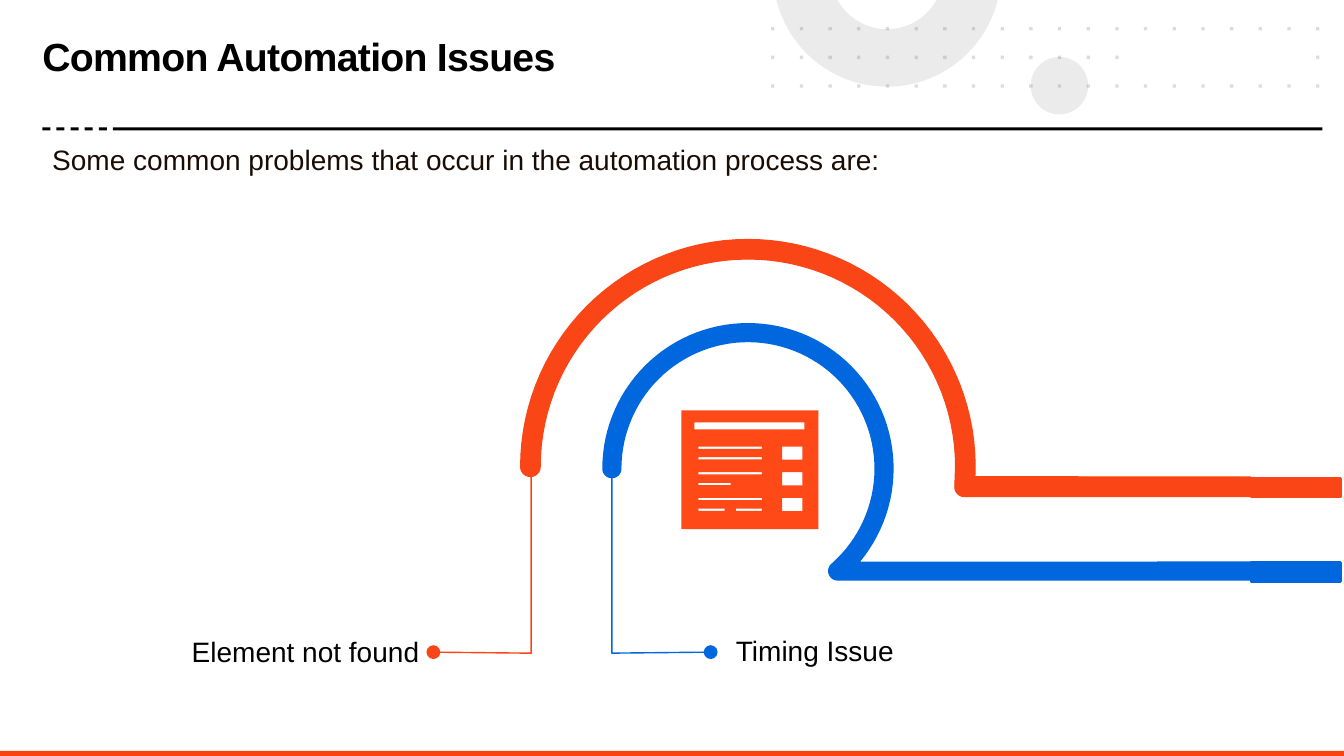
from dataclasses import dataclass
import math

from lxml import etree
from pptx import Presentation
from pptx import util as u
from pptx.dml.color import RGBColor
from pptx.enum import shapes, text
from pptx.oxml.ns import qn

CELL = u.Inches(0.1)
COLS, ROWS = 133.33, 75
FULL_TURN = 360


@dataclass(frozen=True)
class Theme:
    font: str = "Arial"
    title: int = 28
    body: int = 20
    ink: str = "000000"
    body_ink: str = "1A0C02"
    orange: str = "FA4616"
    footer: str = "FA4211"
    icon: str = "FF4917"
    blue: str = "0067DF"
    pale: str = "D9D9D9"
    dot: str = "44546A"


THEME = Theme()


def grid(*cells):
    return [u.Emu(round(cell * CELL)) for cell in cells]


def assign(target, values):
    for name, value in values.items():
        setattr(target, name, value)


def paint(shape, fill=None, alpha=None, line=None, weight=1):
    shape.shadow.inherit = False
    if fill:
        shape.fill.solid()
        shape.fill.fore_color.rgb = RGBColor.from_string(fill)
        if alpha:
            color = shape._element.spPr.find(qn("a:solidFill"))[0]
            etree.SubElement(color, qn("a:alpha"), val=str(alpha * 1000))
    else:
        shape.fill.background()
    if line:
        shape.line.color.rgb = RGBColor.from_string(line)
        shape.line.width = u.Pt(weight)
    else:
        shape.line.fill.background()
    return shape


def arc(cx, cy, radius, start, end):
    steps = max(8, round(abs(end - start) / 3))
    angles = [math.radians(start + (end - start) * i / steps) for i in range(steps + 1)]
    return [(cx + radius * math.cos(a), cy + radius * math.sin(a)) for a in angles]


def box_outline(left, top, width, height):
    right, bottom = left + width, top + height
    return [(left, top), (right, top), (right, bottom), (left, bottom)]


def add_outline(page, contours, closed=True, **look):
    contours = [[grid(*point) for point in contour] for contour in contours]
    builder = page.shapes.build_freeform(*contours[0][0], scale=1.0)
    for index, contour in enumerate(contours):
        if index:
            builder.move_to(*contour[0])
        builder.add_line_segments(contour[1:], close=closed)
    return paint(builder.convert_to_shape(), **look)


def add_preset(page, kind, bounds, **look):
    return paint(page.shapes.add_shape(kind, *grid(*bounds)), **look)


def add_bar(page, bounds, fill, **look):
    return add_preset(page, shapes.MSO_SHAPE.RECTANGLE, bounds, fill=fill, **look)


def write(box, words, size, color, align=text.PP_ALIGN.LEFT, spacing=1.0, bold=False,
          insets=(1, 0.5, 1, 0.5), fit=text.MSO_AUTO_SIZE.SHAPE_TO_FIT_TEXT):
    frame = box.text_frame
    sides = ("margin_left", "margin_top", "margin_right", "margin_bottom")
    assign(frame, dict(zip(sides, grid(*insets))))
    assign(frame, {"word_wrap": True, "auto_size": fit,
                   "vertical_anchor": text.MSO_ANCHOR.TOP})
    para = frame.paragraphs[0]
    assign(para, {"alignment": align, "line_spacing": spacing})
    span = para.add_run()
    span.text = words
    assign(span.font, {"name": THEME.font, "size": u.Pt(size), "bold": bold})
    span.font.color.rgb = RGBColor.from_string(color)
    return span


def add_text(page, bounds, words, color, **style):
    return write(page.shapes.add_textbox(*grid(*bounds)), words, THEME.body, color, **style)


def add_title(page, words):
    title = page.shapes.title
    assign(title, dict(zip(("left", "top", "width", "height"), grid(4.2, 3.9, 72.3, 7.5))))
    span = write(title, words, THEME.title, THEME.ink, spacing=0.85, bold=True,
                 insets=(0, 0, 0, 0), fit=text.MSO_AUTO_SIZE.NONE)
    span._r.get_or_add_rPr().set("spc", "-50")


def add_backdrop(page):
    add_preset(page, shapes.MSO_SHAPE.OVAL, (102.25, 5.65, 5.7, 5.7),
               fill=THEME.pale, alpha=50)
    ring = arc(88, -2.7, 11.3, 166.2, 13.8) + arc(88, -2.7, 5.6, 28.8, 151.2)
    add_outline(page, [ring], fill=THEME.pale, alpha=50)
    step, size = 2.845, 0.33
    middle_gap = range(13, 19)
    for columns in (range(6), range(6, 12), range(12, 14), range(14, 20)):
        dots = [box_outline(76.5 + column * step, 2.68 + row * step, size, size)
                for row in range(3) for column in columns
                if row != 1 or column not in middle_gap]
        add_outline(page, dots, fill=THEME.dot, alpha=20)


def add_rules(page):
    add_bar(page, (11.2, 12.65, 120, 0.3), THEME.ink)
    add_bar(page, (0, ROWS - 0.5, COLS, 0.5), THEME.footer)
    for dash in range(5):
        add_bar(page, (4.2 + 1.4 * dash, 12.65, 0.8, 0.3), THEME.ink)


def add_lead(page, points, color):
    lead = add_outline(page, [points], closed=False, line=color)
    etree.SubElement(lead.line._get_or_add_ln(), qn("a:headEnd"),
                     type="oval", w="lg", len="lg")


def add_loop(page, center, radii, ends, bend, bend_start, color, **look):
    cx, cy = center
    outer, inner = radii
    half = (outer - inner) / 2
    tail_x = 124.1
    band = (arc(cx, cy, outer, ends[0], -FULL_TURN / 2)
            + arc(cx - inner - half, cy, half, 180, 0)
            + arc(cx, cy, inner, -FULL_TURN / 2, ends[1])
            + arc(*bend, half, bend_start, 90)
            + [(tail_x, bend[1] + half), (tail_x, bend[1] - half)])
    add_outline(page, [band], fill=color, **look)
    add_bar(page, (tail_x, bend[1] - 0.83, 8.9, 1.85), color, line=color, weight=2)


def add_form_icon(page):
    cutouts = [box_outline(68.9, 41.9, 10.9, 0.7)]
    second_lines = ([(0, 6.3)], [(0, 3.2)], [(0, 2.6), (3.7, 2.6)])
    for block, pieces in enumerate(second_lines):
        top = 44.3 + 2.55 * block
        cutouts.append(box_outline(77.6, top, 2, 1.3))
        cutouts.append(box_outline(69.3, top, 6.3, 0.22))
        cutouts += [box_outline(69.3 + shift, top + 1.06, width, 0.22)
                    for shift, width in pieces]
    add_outline(page, [box_outline(67.6, 40.7, 13.6, 11.8)] + cutouts, fill=THEME.icon)


def main():
    deck = Presentation()
    deck.slide_width, deck.slide_height = grid(COLS, ROWS)
    page = deck.slides.add_slide(deck.slide_layouts.get_by_name("Title Only"))
    add_backdrop(page)
    add_title(page, "Common Automation Issues")
    add_rules(page)
    add_text(page, (4.2, 13.6, 126.7, 4.4),
             "Some common problems that occur in the automation process are:",
             THEME.body_ink, align=text.PP_ALIGN.JUSTIFY)
    add_lead(page, [(43, 64.7), (52.7, 64.8), (52.7, 47)], THEME.orange)
    add_lead(page, [(70.5, 64.7), (60.7, 64.8), (60.7, 47.2)], THEME.blue)
    label_insets = (1.3, 0.5, 1.3, 0.7)
    add_text(page, (71.7, 62.4, 49.5, 4.5), "Timing Issue", THEME.ink, insets=label_insets)
    add_loop(page, (74.2, 46.3), (22.55, 20.6), (2.5, 0), (95.7, 48.3), 180,
             THEME.orange, line=THEME.orange, weight=0.75)
    add_loop(page, (74.2, 46.5), (14.45, 12.55), (39.7, 48.5), (83.1, 56.65), 225,
             THEME.blue)
    add_form_icon(page)
    add_text(page, (17, 62.9, 25.9, 4.2), "Element not found", THEME.ink,
             align=text.PP_ALIGN.RIGHT, spacing=0.89, insets=label_insets)
    deck.save("out.pptx")


if __name__ == "__main__":
    main()
